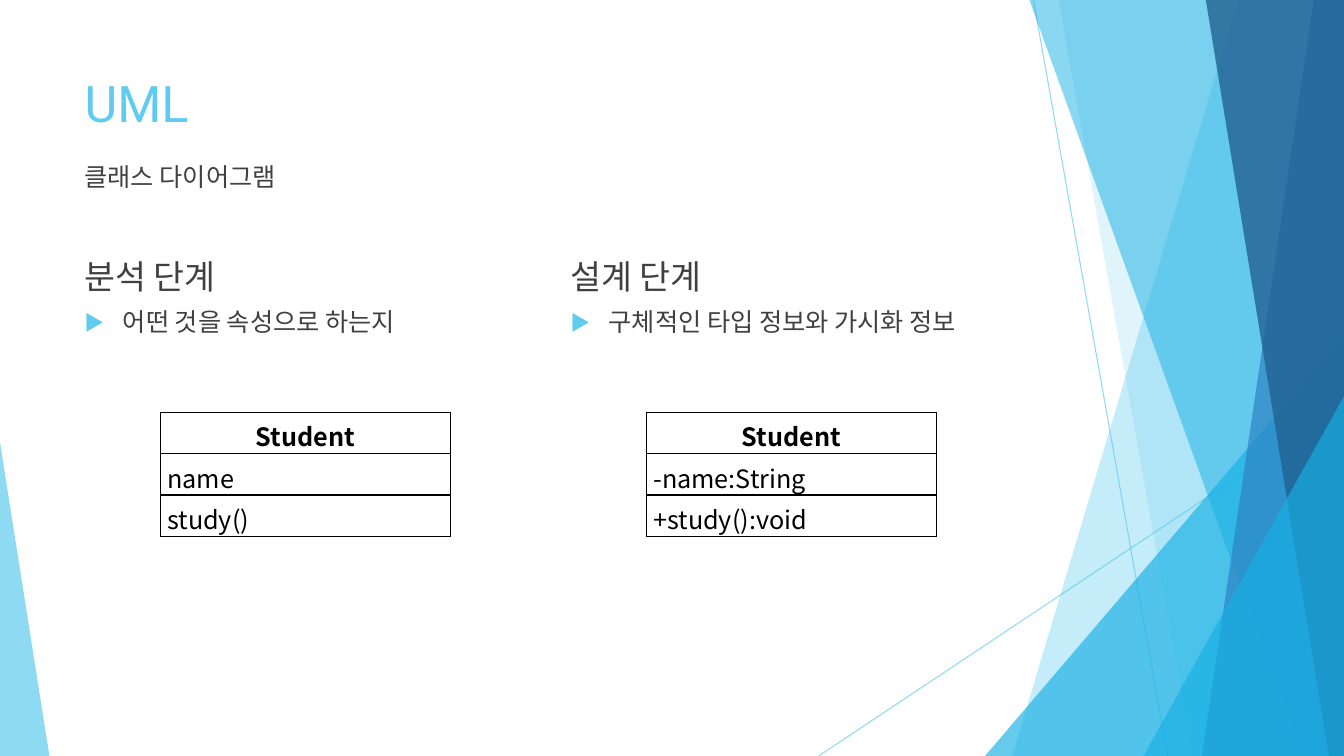
from dataclasses import dataclass

from lxml import etree
from pptx import Presentation
from pptx.dml.color import RGBColor
from pptx.enum import shapes, text
from pptx.oxml import ns
from pptx.util import Inches, Pt

SKY, AZURE, STEEL, NAVY = "5FCBEF", "17B0E4", "2E83C3", "226292"
GREY, BLACK, WHITE = "404040", "000000", "FFFFFF"
BODY_FONT, KOREAN_FONT = "Roboto", "Noto Sans CJK KR"
WIDTH, HEIGHT = 13.33, 7.5
LEFT, RIGHT = 0.74, 5.56
ALIGN, ANCHOR = text.PP_ALIGN, text.MSO_ANCHOR


@dataclass
class Ray:
    start: tuple[float, float]
    end: tuple[float, float]


@dataclass
class Band:
    """Strip that reaches the right edge of the slide."""
    top: float
    bottom: float
    color: str
    alpha: int
    right_top: float = WIDTH
    right_bottom: float = WIDTH


@dataclass
class Wedge:
    """Triangle that stands on the bottom edge of the slide."""
    left: float
    width: float
    height: float
    apex: float
    color: str
    alpha: int


@dataclass
class Phase:
    left: float
    heading: str
    point: str
    members: tuple[str, ...]


def rgb(color: str) -> RGBColor:
    return RGBColor.from_string(color)


def add(parent, tag: str, **attrs):
    return etree.SubElement(parent, ns.qn(tag), **attrs)


def set_alpha(sp, alpha: int) -> None:
    color = next(sp._element.spPr.iter(ns.qn("a:srgbClr")))
    add(color, "a:alpha", val=str(alpha * 1000))


def paint(sp, color: str, alpha: int) -> None:
    sp.shadow.inherit = False
    sp.fill.solid()
    sp.fill.fore_color.rgb = rgb(color)
    sp.line.fill.background()
    set_alpha(sp, alpha)


def draw_ray(slide, ray: Ray) -> None:
    sp = slide.shapes.add_connector(
        shapes.MSO_CONNECTOR.STRAIGHT, *map(Inches, ray.start + ray.end))
    sp.line.color.rgb = rgb(SKY)
    sp.line.width = Pt(0.75)
    set_alpha(sp, 70)
    add(sp._element.spPr, "a:effectLst")


def draw_band(slide, band: Band) -> None:
    fb = slide.shapes.build_freeform(Inches(band.top), 0)
    corners = [(band.right_top, 0), (band.right_bottom, HEIGHT), (band.bottom, HEIGHT)]
    fb.add_line_segments([(Inches(x), Inches(y)) for x, y in corners], close=True)
    paint(fb.convert_to_shape(), band.color, band.alpha)


def draw_wedge(slide, wedge: Wedge) -> None:
    sp = slide.shapes.add_shape(
        shapes.MSO_SHAPE.ISOSCELES_TRIANGLE, Inches(wedge.left),
        Inches(HEIGHT - wedge.height), Inches(wedge.width), Inches(wedge.height))
    sp.adjustments[0] = wedge.apex
    paint(sp, wedge.color, wedge.alpha)


def write(tf, content: str, *, size: float = 18, color: str = GREY,
          font: str = BODY_FONT, bold: bool = False, align=ALIGN.LEFT,
          before: float = 0, spacing: float = 1.0, bullet: bool = False) -> None:
    p = tf.paragraphs[0]
    p.alignment, p.line_spacing, p.space_before = align, spacing, Pt(before)
    r = p.add_run()
    r.text = content
    r.font.size, r.font.bold, r.font.name = Pt(size), bold, font
    r.font.color.rgb = rgb(color)
    add(r._r.get_or_add_rPr(), "a:ea", typeface=KOREAN_FONT)
    if bullet:
        pPr = p._p.get_or_add_pPr()
        indent = Inches(0.38)
        pPr.set("marL", str(indent))
        pPr.set("indent", str(-indent))
        add(add(pPr, "a:buClr"), "a:srgbClr", val=SKY)
        add(pPr, "a:buSzPct", val="80000")
        add(pPr, "a:buFont", typeface=KOREAN_FONT)
        add(pPr, "a:buChar", char="▶")


def add_text(slide, left: float, top: float, width: float, height: float,
             content: str, *, anchor=ANCHOR.TOP, **fmt) -> None:
    box = slide.shapes.add_textbox(*map(Inches, (left, top, width, height)))
    tf = box.text_frame
    tf.word_wrap, tf.vertical_anchor = True, anchor
    write(tf, content, before=10, **fmt)


def add_borders(cell) -> None:
    tcPr = cell._tc.get_or_add_tcPr()
    for i, side in enumerate(("lnL", "lnR", "lnT", "lnB")):
        ln = add(tcPr, f"a:{side}", w=str(Pt(1)))
        add(add(ln, "a:solidFill"), "a:srgbClr", val=BLACK)
        tcPr.insert(i, ln)


def add_class_box(slide, left: float, rows: tuple[str, ...]) -> None:
    row_height = Inches(0.41)
    table = slide.shapes.add_table(
        len(rows), 1, Inches(left), Inches(4.09), Inches(2.88),
        row_height * len(rows)).table
    table.horz_banding = False
    for i, content in enumerate(rows):
        table.rows[i].height = row_height
        cell = table.cell(i, 0)
        cell.margin_left = cell.margin_right = Inches(0.07)
        cell.margin_top = cell.margin_bottom = 0
        cell.fill.solid()
        cell.fill.fore_color.rgb = rgb(WHITE)
        add_borders(cell)
        write(cell.text_frame, content, color=BLACK, font=KOREAN_FONT, bold=i == 0,
              align=ALIGN.JUSTIFY if i else ALIGN.CENTER, spacing=1.15)


prs = Presentation()
prs.slide_width, prs.slide_height = Inches(WIDTH), Inches(HEIGHT)
slide = prs.slides.add_slide(prs.slide_layouts[5])

# Facet backdrop, from back to front
DRAW = {Ray: draw_ray, Band: draw_band, Wedge: draw_wedge}
BACKDROP = [
    Ray((10.25, 0), (11.58, HEIGHT)),
    Ray((WIDTH, 4.03), (8.12, HEIGHT)),
    Band(12.28, 10.04, SKY, 36),
    Band(10.5, 11.83, SKY, 20),
    Wedge(9.77, 3.56, 4.17, 1, AZURE, 66),
    Band(10.21, 12.91, AZURE, 50),
    Band(13.03, 11.92, STEEL, 70),
    Band(11.96, 13.18, NAVY, 80),
    Wedge(11.34, 1.99, 3.57, 1, AZURE, 66),
    Wedge(0, 0.49, 3.11, 0, SKY, 70),
]
for part in BACKDROP:
    DRAW[type(part)](slide, part)

# Title and subtitle
title = slide.shapes.title
title.left, title.top, title.width, title.height = map(Inches, (LEFT, 0.67, 9.4, 0.76))
tf = title.text_frame
tf.auto_size, tf.vertical_anchor = text.MSO_AUTO_SIZE.NONE, ANCHOR.TOP
write(tf, "UML", size=36, color=SKY)
add_text(slide, LEFT, 1.55, 9.4, 0.68, "클래스 다이어그램")

# Two phases, each with its class box
PHASES = [
    Phase(LEFT, "분석 단계", "어떤 것을 속성으로 하는지", ("name", "study()")),
    Phase(RIGHT, "설계 단계", "구체적인 타입 정보와 가시화 정보",
          ("-name:String", "+study():void")),
]
for phase in PHASES:
    add_text(slide, phase.left, 2.36, 4.58, 0.63, phase.heading, size=24,
             anchor=ANCHOR.BOTTOM)
    add_text(slide, phase.left, 2.99, 4.58, 3.61, phase.point, bullet=True)
    add_class_box(slide, phase.left + 0.85, ("Student", *phase.members))

prs.save("out.pptx")
